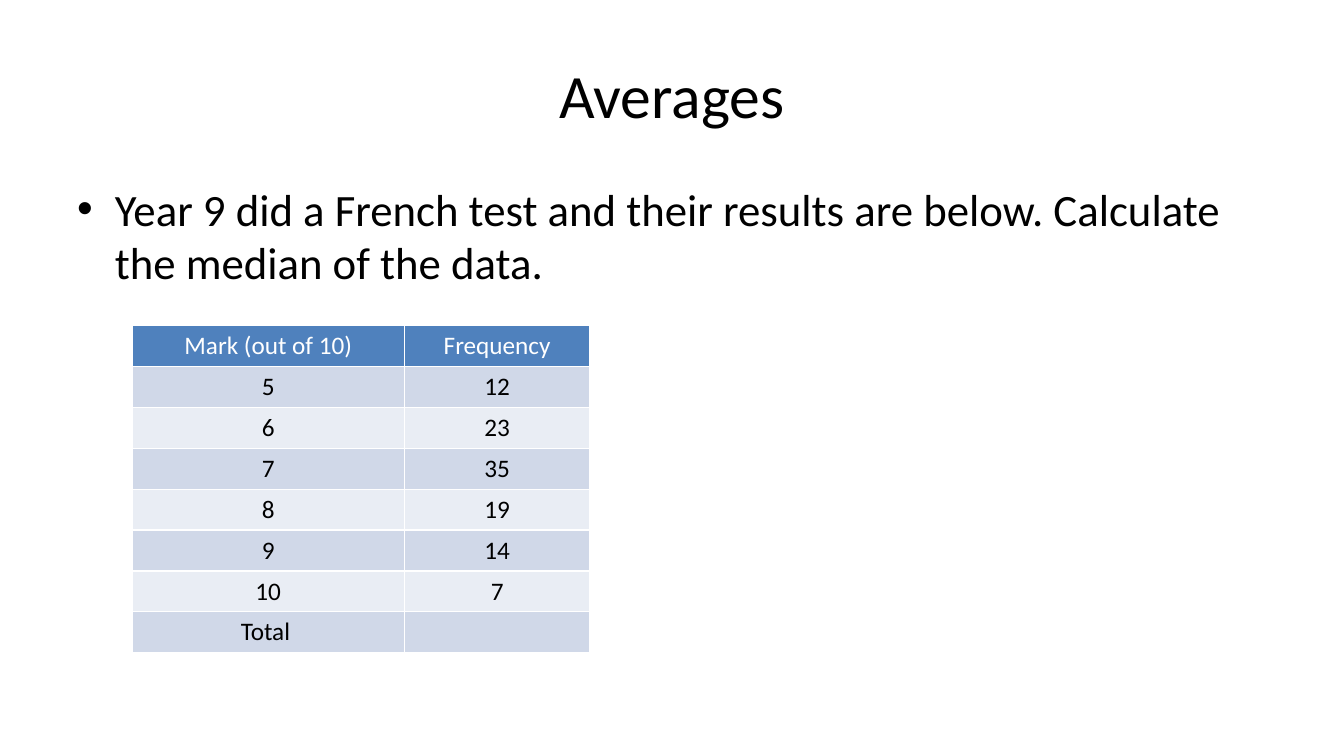
from lxml.etree import SubElement
from pptx import Presentation
from pptx.dml.color import RGBColor
from pptx.enum.text import MSO_ANCHOR, PP_ALIGN
from pptx.oxml.ns import qn
from pptx.util import Pt

TITLE = "Averages"
QUESTION = (
    "Year 9 did a French test and their results are below. "
    "Calculate the median of the data."
)
ROWS = [
    ("Mark (out of 10)", "Frequency"),
    ("5", "12"),
    ("6", "23"),
    ("7", "35"),
    ("8", "19"),
    ("9", "14"),
    ("10", "7"),
    ("Total ", ""),
]

FONT = "Calibri"
BLACK = RGBColor(0x00, 0x00, 0x00)
WHITE = RGBColor(0xFF, 0xFF, 0xFF)
HEADER_BLUE = RGBColor(0x4F, 0x81, 0xBD)
BANDS = [RGBColor(0xE9, 0xED, 0xF4), RGBColor(0xD0, 0xD8, 0xE8)]

PX = 9525
SLIDE_SIZE = (1280, 720)
TITLE_BOX = (64, 29, 1152, 120)
QUESTION_BOX = (64, 168, 1152, 475)
TABLE_LEFT, TABLE_TOP = 126, 310
COLUMN_WIDTHS = (259, 177)
ROW_HEIGHT = 39
BULLET_INDENT = 36


def emu(lengths):
    return [length * PX for length in lengths]


def add_span(para, text, size, color):
    span = para.add_run()
    span.text = text
    span.font.name = FONT
    span.font.size = Pt(size)
    span.font.color.rgb = color


def add_title(page):
    box = page.shapes.title
    box.left, box.top, box.width, box.height = emu(TITLE_BOX)
    box.text_frame.vertical_anchor = MSO_ANCHOR.MIDDLE
    para = box.text_frame.paragraphs[0]
    para.alignment = PP_ALIGN.CENTER
    add_span(para, TITLE, 44, BLACK)


def add_question(page):
    box = page.shapes.add_textbox(*emu(QUESTION_BOX))
    box.text_frame.word_wrap = True
    para = box.text_frame.paragraphs[0]
    properties = para._p.get_or_add_pPr()
    properties.set("marL", str(BULLET_INDENT * PX))
    properties.set("indent", str(-BULLET_INDENT * PX))
    SubElement(properties, qn("a:buFont"), typeface="Arial")
    SubElement(properties, qn("a:buChar"), char="•")
    add_span(para, QUESTION, 32, BLACK)


def add_borders(cell):
    properties = cell._tc.get_or_add_tcPr()
    for side in ("lnL", "lnR", "lnT", "lnB"):
        line = SubElement(properties, qn(f"a:{side}"), w=str(Pt(1)))
        fill = SubElement(line, qn("a:solidFill"))
        SubElement(fill, qn("a:srgbClr"), val=str(WHITE))


def add_results(page):
    size = (sum(COLUMN_WIDTHS), ROW_HEIGHT * len(ROWS))
    frame = page.shapes.add_table(
        len(ROWS), len(COLUMN_WIDTHS), *emu((TABLE_LEFT, TABLE_TOP, *size))
    )
    table = frame.table
    for column, width in zip(table.columns, emu(COLUMN_WIDTHS)):
        column.width = width
    for row_index, values in enumerate(ROWS):
        table.rows[row_index].height = ROW_HEIGHT * PX
        is_header = row_index == 0
        for column_index, value in enumerate(values):
            cell = table.cell(row_index, column_index)
            add_borders(cell)
            cell.fill.solid()
            cell.fill.fore_color.rgb = HEADER_BLUE if is_header else BANDS[row_index % 2]
            para = cell.text_frame.paragraphs[0]
            para.alignment = PP_ALIGN.CENTER
            para.font.size = Pt(18)
            if value:
                add_span(para, value, 18, WHITE if is_header else BLACK)
                para.runs[0].font.bold = False


def main():
    deck = Presentation()
    deck.slide_width, deck.slide_height = emu(SLIDE_SIZE)
    page = deck.slides.add_slide(deck.slide_layouts[5])
    add_title(page)
    add_question(page)
    add_results(page)
    deck.save("out.pptx")


if __name__ == "__main__":
    main()
